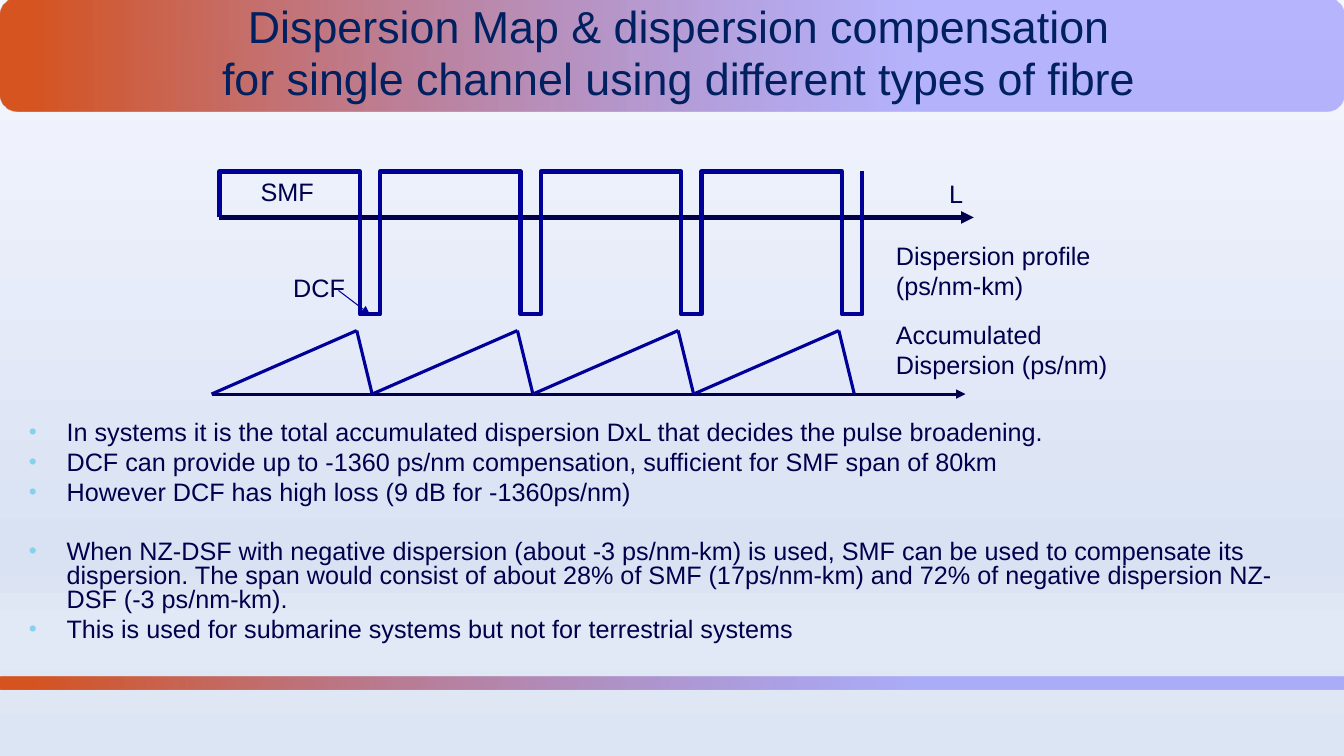
"""Build a slide on dispersion maps and dispersion compensation."""
from dataclasses import dataclass
from typing import Optional

from lxml import etree
from pptx import Presentation
from pptx.dml.color import RGBColor
from pptx.enum.shapes import MSO_CONNECTOR, MSO_SHAPE
from pptx.enum.text import MSO_ANCHOR, MSO_AUTO_SIZE, PP_ALIGN
from pptx.oxml.ns import qn
from pptx.util import Cm, Pt

STRAIGHT = MSO_CONNECTOR.STRAIGHT
ROUNDED = MSO_SHAPE.ROUNDED_RECTANGLE
TOP = MSO_ANCHOR.TOP
NO_FIT = MSO_AUTO_SIZE.NONE
CENTER = PP_ALIGN.CENTER

COLORS = {
    "text": "00004C", "title": "002060", "trace": "000099", "bullet": "86D1EC",
    "bar_start": "D65420", "bar_end": "7B75FB",
    "sky_top": "F5F7FF", "sky_low": "D9E2F3", "sky_pale": "E2E9F6", "sky_end": "DCE5F4",
}
FONT = "Arial"
SPANS = 4
PITCH = 4.05


@dataclass
class Stop:
    """A gradient stop, with position and opacity in percent."""
    position: int
    color: str
    opacity: int = 100


@dataclass
class Label:
    """A diagram caption, with its box in centimetres."""
    text: str
    left: float
    top: float
    width: float
    height: float
    wrap: bool = False


@dataclass
class Line:
    """A straight line in centimetres, with its weight in points."""
    x1: float
    y1: float
    x2: float
    y2: float
    color: str
    weight: float
    arrow: bool = False


@dataclass
class Bullet:
    """A bullet point with the space before it in points."""
    text: str
    before: Optional[float] = 4.1


BAR_STOPS = [Stop(2, "bar_start"), Stop(68, "bar_end", 51)]
SKY_STOPS = [Stop(0, "sky_top"), Stop(74, "sky_low"), Stop(83, "sky_pale"), Stop(100, "sky_end")]
LABELS = [
    Label("Dispersion profile (ps/nm-km)", 22.33, 5.92, 6, 1.78, True),
    Label("Accumulated Dispersion (ps/nm)", 22.33, 7.92, 6, 1.78, True),
    Label("SMF", 6.32, 4.32, 1.85, 1.02),
    Label("DCF", 7.14, 6.73, 1.83, 1.02),
    Label("L", 23.67, 4.37, 0.86, 1.02),
]
BULLETS = [
    Bullet("In systems it is the total accumulated dispersion DxL that decides the pulse broadening.",
           None),
    Bullet("DCF can provide up to -1360 ps/nm compensation, sufficient for SMF span of 80km"),
    Bullet("However DCF has high loss (9 dB for -1360ps/nm)"),
    Bullet("When NZ-DSF with negative dispersion (about -3 ps/nm-km) is used, SMF can be used to "
           "compensate its dispersion. The span would consist of about 28% of SMF (17ps/nm-km) and "
           "72% of negative dispersion NZ-DSF (-3 ps/nm-km).", 24.8),
    Bullet("This is used for submarine systems but not for terrestrial systems"),
]


def rgb(name: str) -> RGBColor:
    """Return a named colour."""
    return RGBColor.from_string(COLORS[name])


def set_gradient(fill, element, stops: list[Stop], angle: int) -> None:
    """Fill an element with a linear gradient."""
    fill.gradient()
    fill.gradient_angle = angle
    stop_list = next(element.iter(qn("a:gsLst")))
    for old_stop in list(stop_list):
        stop_list.remove(old_stop)
    for stop in stops:
        node = etree.SubElement(stop_list, qn("a:gs"), pos=str(stop.position * 1000))
        color = etree.SubElement(node, qn("a:srgbClr"), val=COLORS[stop.color])
        if stop.opacity < 100:
            etree.SubElement(color, qn("a:alpha"), val=str(stop.opacity * 1000))


def style_spans(para, size: float, color: str) -> None:
    """Set the font of every span in a paragraph."""
    for span in para.runs:
        for name, value in {"size": Pt(size), "name": FONT}.items():
            setattr(span.font, name, value)
        span.font.color.rgb = rgb(color)


def add_bar(slide, top: float, height: float) -> None:
    """Place a full-width gradient bar behind the title."""
    bar = slide.shapes.add_shape(ROUNDED, Cm(0), Cm(top), Cm(33.87), Cm(height))
    bar.shadow.inherit = False
    bar.line.fill.background()
    set_gradient(bar.fill, bar.element, BAR_STOPS, 0)
    slide.shapes.title.element.addprevious(bar.element)


def format_title(slide) -> None:
    """Place and format the title."""
    title = slide.shapes.title
    box = {"left": Cm(0.18), "top": Cm(-0.05), "width": Cm(33.87), "height": Cm(1.17)}
    for name, value in box.items():
        setattr(title, name, value)
    frame = title.text_frame
    for name, value in {"auto_size": NO_FIT, "vertical_anchor": TOP, "word_wrap": True}.items():
        setattr(frame, name, value)
    para = frame.paragraphs[0]
    para.text = ("Dispersion Map & dispersion compensation\v"
                 "for single channel using different types of fibre")
    para.alignment = CENTER
    para.line_spacing = 0.95
    style_spans(para, 32, "title")


def add_label(slide, label: Label) -> None:
    """Add a caption to the diagram."""
    box = slide.shapes.add_textbox(Cm(label.left), Cm(label.top), Cm(label.width), Cm(label.height))
    box.text_frame.word_wrap = label.wrap
    para = box.text_frame.paragraphs[0]
    para.text = label.text
    style_spans(para, 18, "text")


def add_line(slide, line: Line) -> None:
    """Add a straight line or arrow."""
    connector = slide.shapes.add_connector(
        STRAIGHT, Cm(line.x1), Cm(line.y1), Cm(line.x2), Cm(line.y2))
    connector.line.color.rgb = rgb(line.color)
    connector.line.width = Pt(line.weight)
    if line.arrow:
        etree.SubElement(connector.line._get_or_add_ln(), qn("a:tailEnd"), type="triangle")
    etree.SubElement(connector.element.spPr, qn("a:effectLst"))


def add_profile(slide, left: float) -> None:
    """Outline one SMF span followed by its DCF section."""
    axis, high, low = 5.48, 4.32, 7.92
    drop, end = left + 3.54, left + PITCH
    points = [(left, high), (drop, high), (drop, low), (end, low), (end, high)]
    builder = slide.shapes.build_freeform(Cm(left), Cm(axis))
    builder.add_line_segments([(Cm(x), Cm(y)) for x, y in points], close=False)
    profile = builder.convert_to_shape()
    profile.shadow.inherit = False
    profile.fill.background()
    profile.line.color.rgb = rgb("trace")
    profile.line.width = Pt(3)


def add_bullets(slide) -> None:
    """Add the bullet list below the diagram."""
    box = slide.shapes.add_textbox(Cm(0.48), Cm(10.52), Cm(32.92), Cm(6.81))
    frame = box.text_frame
    frame.word_wrap = True
    for index, bullet in enumerate(BULLETS):
        para = frame.add_paragraph() if index else frame.paragraphs[0]
        para.text = bullet.text
        para.line_spacing = 0.8
        if bullet.before is not None:
            para.space_before = Pt(bullet.before)
        properties = para._p.get_or_add_pPr()
        for name, value in {"marL": Cm(0.95), "indent": -Cm(0.95)}.items():
            properties.set(name, str(int(value)))
        color = etree.SubElement(properties, qn("a:buClr"))
        etree.SubElement(color, qn("a:srgbClr"), val=COLORS["bullet"])
        etree.SubElement(properties, qn("a:buSzPct"), val="90000")
        etree.SubElement(properties, qn("a:buFont"), typeface=FONT)
        etree.SubElement(properties, qn("a:buChar"), char="•")
        style_spans(para, 18, "text")


def main() -> None:
    """Build and save the deck."""
    deck = Presentation()
    deck.slide_width, deck.slide_height = Cm(33.87), Cm(19.05)
    page = deck.slides.add_slide(deck.slide_layouts[5])
    set_gradient(page.background.fill, page.element, SKY_STOPS, 270)
    add_bar(page, -0.05, 2.87)
    add_bar(page, 17.04, 0.33)
    format_title(page)
    add_bullets(page)

    base, peak = 9.93, 8.33
    add_line(page, Line(5.33, base, 24.33, base, "text", 2.25, True))
    add_line(page, Line(5.53, 5.48, 24.54, 5.48, "text", 3, True))
    for span in range(SPANS):
        start = 5.33 + span * PITCH
        crest = start + 3.66
        add_line(page, Line(start, base, crest, peak, "trace", 2.25))
        add_line(page, Line(crest, peak, start + PITCH, base, "trace", 2.25))
        add_profile(page, 5.53 + span * PITCH)
    for label in LABELS:
        add_label(page, label)
    add_line(page, Line(8.53, 7.32, 9.32, 7.92, "trace", 0.75, True))
    deck.save("out.pptx")


if __name__ == "__main__":
    main()
